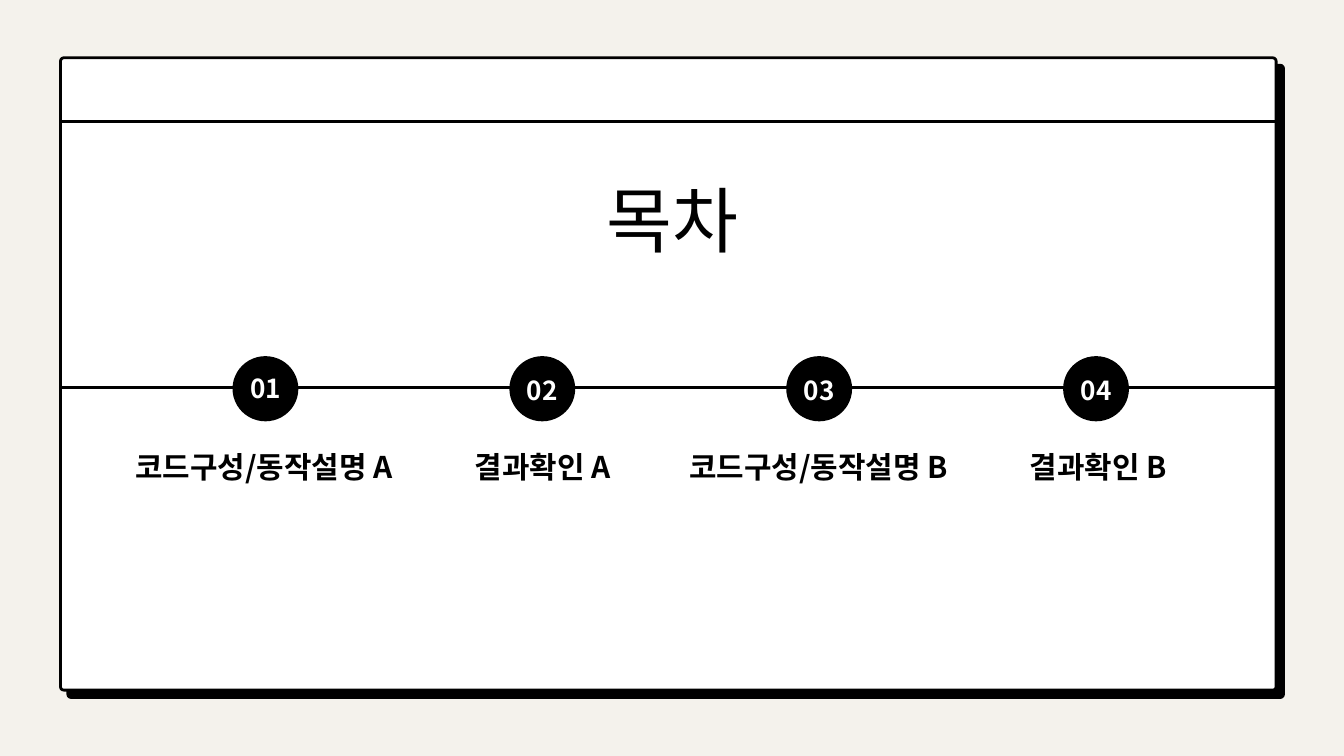
from dataclasses import dataclass

from lxml.etree import SubElement
from pptx import Presentation
from pptx.dml.color import RGBColor
from pptx.enum.shapes import MSO_CONNECTOR, MSO_SHAPE
from pptx.enum.text import MSO_ANCHOR, PP_ALIGN
from pptx.oxml.ns import qn
from pptx.shapes.autoshape import Shape
from pptx.slide import Slide
from pptx.util import Inches, Pt


@dataclass(frozen=True)
class Theme:
    paper: RGBColor = RGBColor(0xF4, 0xF2, 0xEC)
    ink: RGBColor = RGBColor(0, 0, 0)
    white: RGBColor = RGBColor(0xFF, 0xFF, 0xFF)
    font: str = "Noto Sans CJK KR"
    line_width: float = 3
    title_size: float = 76.7
    label_size: float = 32
    number_size: float = 28


@dataclass(frozen=True)
class Box:
    left: float
    top: float
    width: float
    height: float


@dataclass(frozen=True)
class TextStyle:
    size: float
    color: RGBColor
    line_spacing: float
    bold: bool = True


@dataclass(frozen=True)
class Stop:
    label: str
    label_left: float
    label_width: float
    number_top: float


THEME = Theme()
TITLE = TextStyle(THEME.title_size, THEME.ink, 107.4, bold=False)
LABEL = TextStyle(THEME.label_size, THEME.ink, 49)
NUMBER = TextStyle(THEME.number_size, THEME.white, 42.8)

PANEL = Box(0.9, 0.86, 18.09, 9.41)
PANEL_OFFSET = 0.11
CORNER_RADIUS = 0.05
HEADER_Y, TIMELINE_Y = 1.81, 5.77
BADGE = Box(3.46, 5.3, 0.98, 0.97)
BADGE_STEP = 4.12
NUMBER_WIDTH = 0.58

STOPS = [
    Stop("코드구성/동작설명 A", 1.92, 4.02, 5.42),
    Stop("결과확인 A", 6.36, 3.43, 5.45),
    Stop("코드구성/동작설명 B", 10.17, 4.02, 5.45),
    Stop("결과확인 B", 14.63, 3.43, 5.44),
]


def add_filled_shape(slide: Slide, kind: MSO_SHAPE, box: Box, fill: RGBColor) -> Shape:
    shape = slide.shapes.add_shape(
        kind, Inches(box.left), Inches(box.top), Inches(box.width), Inches(box.height))
    shape.shadow.inherit = False
    shape.fill.solid()
    shape.fill.fore_color.rgb = fill
    shape.line.fill.background()
    return shape


def add_panel(slide: Slide, box: Box, fill: RGBColor) -> None:
    panel = add_filled_shape(slide, MSO_SHAPE.ROUNDED_RECTANGLE, box, fill)
    panel.adjustments[0] = CORNER_RADIUS / box.height
    panel.line.color.rgb = THEME.ink
    panel.line.width = Pt(THEME.line_width)


def add_rule(slide: Slide, y: float) -> None:
    rule = slide.shapes.add_connector(
        MSO_CONNECTOR.STRAIGHT, Inches(PANEL.left), Inches(y),
        Inches(PANEL.left + PANEL.width), Inches(y))
    rule.line.color.rgb = THEME.ink
    rule.line.width = Pt(THEME.line_width)
    SubElement(rule.element.spPr, qn("a:effectLst"))


def add_text(slide: Slide, text: str, box: Box, style: TextStyle) -> None:
    shape = slide.shapes.add_textbox(
        Inches(box.left), Inches(box.top), Inches(box.width), Inches(box.height))
    frame = shape.text_frame
    frame.margin_left = frame.margin_top = frame.margin_right = frame.margin_bottom = 0
    frame.word_wrap = True
    frame.vertical_anchor = MSO_ANCHOR.TOP
    frame.text = text
    paragraph = frame.paragraphs[0]
    paragraph.alignment = PP_ALIGN.CENTER
    paragraph.line_spacing = Pt(style.line_spacing)
    run = paragraph.runs[0]
    run.font.size = Pt(style.size)
    run.font.bold = style.bold
    run.font.color.rgb = style.color
    run.font.name = THEME.font
    # Korean glyphs take the East Asian typeface
    SubElement(run.font._element, qn("a:ea"), typeface=THEME.font)


def main() -> None:
    presentation = Presentation()
    presentation.slide_width = Inches(20)
    presentation.slide_height = Inches(11.25)
    slide = presentation.slides.add_slide(presentation.slide_layouts[6])
    slide.background.fill.solid()
    slide.background.fill.fore_color.rgb = THEME.paper

    # Window panel with its offset backing
    backing = Box(PANEL.left + PANEL_OFFSET, PANEL.top + PANEL_OFFSET,
                  PANEL.width, PANEL.height)
    add_panel(slide, backing, THEME.ink)
    add_panel(slide, PANEL, THEME.white)

    # Header rule and timeline
    for y in (HEADER_Y, TIMELINE_Y):
        add_rule(slide, y)

    # Numbered stops
    for index, stop in enumerate(STOPS):
        left = BADGE.left + index * BADGE_STEP
        badge = Box(left, BADGE.top, BADGE.width, BADGE.height)
        add_filled_shape(slide, MSO_SHAPE.OVAL, badge, THEME.ink)
        number = Box(left + (BADGE.width - NUMBER_WIDTH) / 2, stop.number_top,
                     NUMBER_WIDTH, NUMBER_WIDTH)
        add_text(slide, f"{index + 1:02}", number, NUMBER)
        add_text(slide, stop.label,
                 Box(stop.label_left, 6.53, stop.label_width, 0.64), LABEL)

    # Title
    add_text(slide, "목차", Box(6.09, 2.41, 7.82, 1.44), TITLE)

    presentation.save("out.pptx")


if __name__ == "__main__":
    main()
